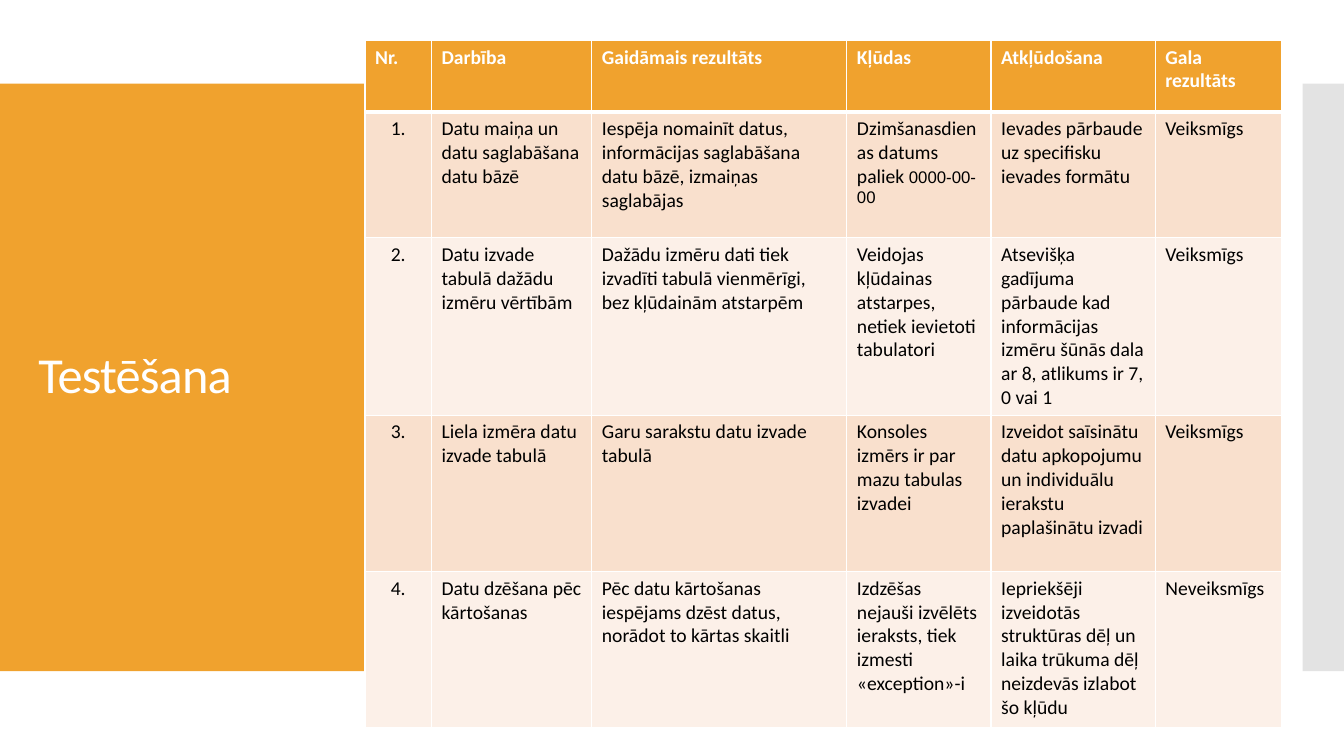
from lxml import etree
from pptx import Presentation
from pptx.dml.color import RGBColor
from pptx.enum import shapes, text
from pptx.oxml import ns
from pptx.util import Inches, Pt

COLORS = {"accent": "F0A22E", "side": "C8C8C8", "white": "FFFFFF",
          "black": "000000", "odd": "F9E0CD", "even": "FCF0E8"}
BODY = {"name": "Calibri", "size": Pt(14), "bold": False}
HEAD = {**BODY, "bold": True}
DATE = {**BODY, "name": "Arial", "size": Pt(12)}
TITLE = {**BODY, "size": Pt(36)}
FRAME = {"word_wrap": True, "auto_size": text.MSO_AUTO_SIZE.NONE,
         "vertical_anchor": text.MSO_ANCHOR.MIDDLE}

COLUMNS = [0.66, 1.59, 2.53, 1.43, 1.63, 1.25]
HEIGHTS = [0.71, 1.25, 1.76, 1.55, 1.55]
EMPTY_DATE = "0000-00-00"
TESTS = [
    ["Nr.", "Darbība", "Gaidāmais rezultāts", "Kļūdas", "Atkļūdošana",
     "Gala rezultāts"],
    ["1.", "Datu maiņa un datu saglabāšana datu bāzē",
     "Iespēja nomainīt datus, informācijas saglabāšana datu bāzē, izmaiņas saglabājas",
     "Dzimšanasdienas datums paliek " + EMPTY_DATE,
     "Ievades pārbaude uz specifisku ievades formātu", "Veiksmīgs"],
    ["2.", "Datu izvade tabulā dažādu izmēru vērtībām",
     "Dažādu izmēru dati tiek izvadīti tabulā vienmērīgi, bez kļūdainām atstarpēm",
     "Veidojas kļūdainas atstarpes, netiek ievietoti tabulatori",
     "Atsevišķa gadījuma pārbaude kad informācijas izmēru šūnās dala ar 8, "
     "atlikums ir 7, 0 vai 1", "Veiksmīgs"],
    ["3.", "Liela izmēra datu izvade tabulā",
     "Garu sarakstu datu izvade tabulā",
     "Konsoles izmērs ir par mazu tabulas izvadei",
     "Izveidot saīsinātu datu apkopojumu un individuālu ierakstu paplašinātu izvadi",
     "Veiksmīgs"],
    ["4.", "Datu dzēšana pēc kārtošanas",
     "Pēc datu kārtošanas iespējams dzēst datus, norādot to kārtas skaitli",
     "Izdzēšas nejauši izvēlēts ieraksts, tiek izmesti «exception»-i",
     "Iepriekšēji izveidotās struktūras dēļ un laika trūkuma dēļ neizdevās "
     "izlabot šo kļūdu", "Neveiksmīgs"],
]


def rgb(name):
    """Return the named palette colour."""
    return RGBColor.from_string(COLORS[name])


def apply(target, values):
    """Set every attribute in values on target."""
    for key, value in values.items():
        setattr(target, key, value)


def add_run(p, words, font, color):
    """Append a formatted run to a paragraph."""
    r = p.add_run()
    r.text = words
    apply(r.font, font)
    r.font.color.rgb = rgb(color)
    return r


def add_panel(s, box, color, alpha=None):
    """Draw a borderless rectangle filling the box, optionally translucent."""
    sp = s.shapes.add_shape(shapes.MSO_SHAPE.RECTANGLE, *map(Inches, box))
    sp.shadow.inherit = False
    sp.line.fill.background()
    sp.fill.solid()
    sp.fill.fore_color.rgb = rgb(color)
    if alpha:
        clr = sp.element.spPr.find(".//" + ns.qn("a:srgbClr"))
        etree.SubElement(clr, ns.qn("a:alpha"), val=str(alpha * 1000))


def add_title_panel(s, box):
    """Fill the box with the accent colour and set the title inside it."""
    left, top, width, height = box
    add_panel(s, box, "accent")
    sp = s.shapes.title
    place = (left + 0.28, top + 0.4, width - 0.55, height - 0.8)
    apply(sp, dict(zip(("left", "top", "width", "height"), map(Inches, place))))
    sp.element.getparent().append(sp.element)
    tf = sp.text_frame
    apply(tf, FRAME)
    p = tf.paragraphs[0]
    apply(p, {"alignment": text.PP_ALIGN.LEFT, "line_spacing": 0.9})
    r = add_run(p, "Testēšana", TITLE, "white")
    r.font._element.set("spc", "-60")


def add_borders(cell, row):
    """Give a cell white borders, thicker between header and body."""
    widths = {"L": 1, "R": 1, "T": 3 if row == 1 else 1, "B": 3 if row == 0 else 1}
    tcPr = cell._tc.get_or_add_tcPr()
    for side, width in widths.items():
        ln = etree.SubElement(tcPr, ns.qn("a:ln" + side), w=str(Pt(width)))
        fill = etree.SubElement(ln, ns.qn("a:solidFill"))
        etree.SubElement(fill, ns.qn("a:srgbClr"), val=COLORS["white"])


def fill_cell(cell, row, col, words):
    """Format one table cell and write its words."""
    add_borders(cell, row)
    cell.fill.solid()
    cell.fill.fore_color.rgb = rgb(
        "accent" if row == 0 else "odd" if row % 2 else "even")
    p = cell.text_frame.paragraphs[0]
    centred = row > 0 and col == 0
    p.alignment = text.PP_ALIGN.CENTER if centred else text.PP_ALIGN.LEFT
    font, color = (BODY, "black") if row else (HEAD, "white")
    before, date, _ = words.partition(EMPTY_DATE)
    add_run(p, before, font, color)
    if date:
        add_run(p, date, DATE, color)


def add_test_table(s, box):
    """Place the table of test results in the box."""
    table = s.shapes.add_table(len(TESTS), len(COLUMNS), *map(Inches, box)).table
    for column, width in zip(table.columns, COLUMNS):
        column.width = Inches(width)
    for i, (row, height) in enumerate(zip(table.rows, HEIGHTS)):
        row.height = Inches(height)
        for j, cell in enumerate(row.cells):
            fill_cell(cell, i, j, TESTS[i][j])


def main():
    """Build the testing slide and save it."""
    prs = Presentation()
    apply(prs, {"slide_width": Inches(13.33), "slide_height": Inches(7.5)})
    s = prs.slides.add_slide(prs.slide_layouts.get_by_name("Title Only"))
    add_panel(s, (12.92, 0.83, 0.41, 5.83), "side", 50)
    add_title_panel(s, (0, 0.83, 3.77, 5.83))
    add_test_table(s, (3.62, 0.4, sum(COLUMNS), sum(HEIGHTS)))
    prs.save("out.pptx")


if __name__ == "__main__":
    main()
